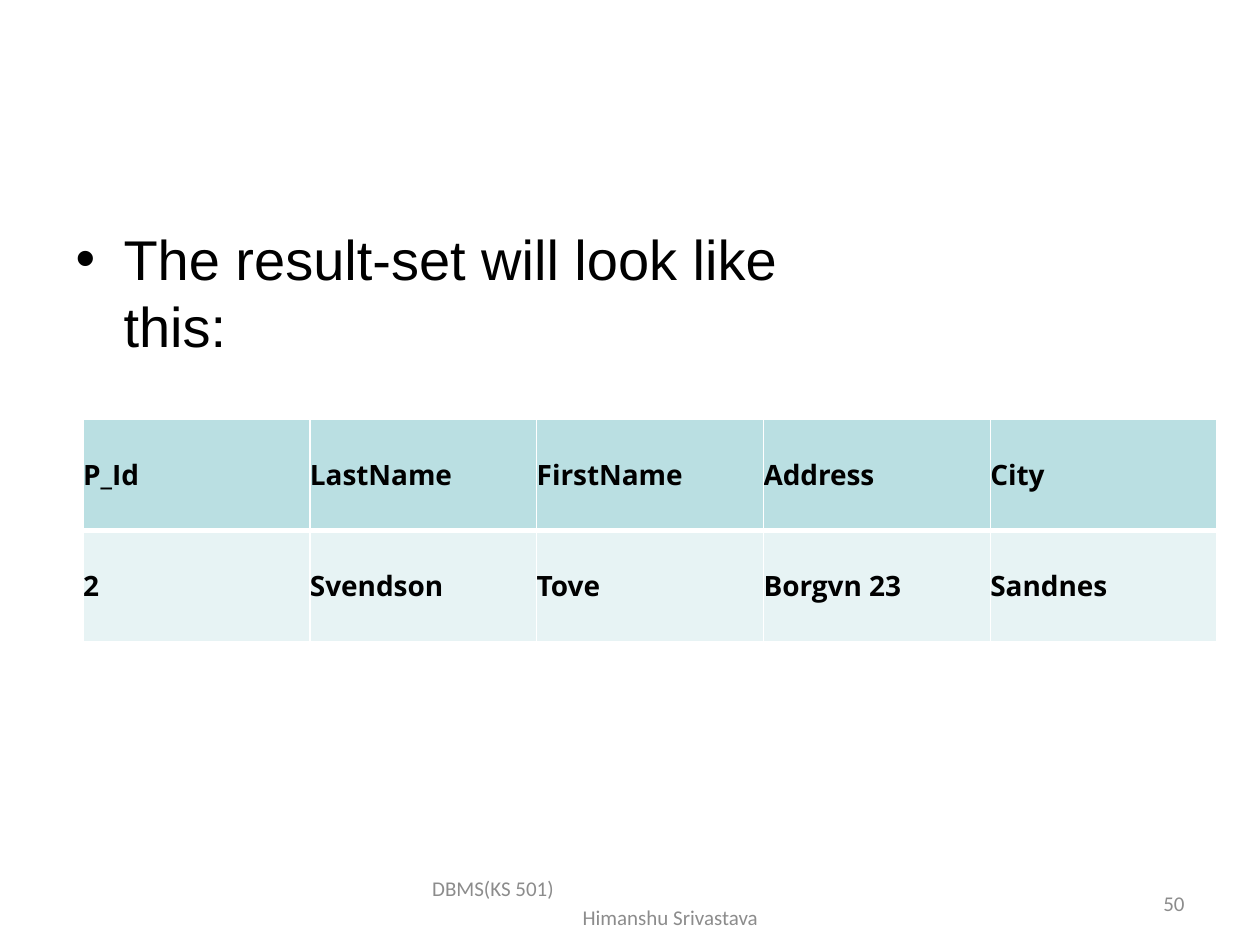
from pptx import Presentation, util as u
from pptx.dml.color import RGBColor
from pptx.enum import text
from pptx.oxml import parse_xml
from pptx.oxml.ns import nsdecls

BLACK = RGBColor(0, 0, 0)
GREY = RGBColor(0x8C, 0x8C, 0x8C)
HEAD = RGBColor(0xBA, 0xDF, 0xE2)
BODY = RGBColor(0xE7, 0xF3, 0xF4)

LEAD = "The result-set will look like this:"
ROWS = [
    ("P_Id", "LastName", "FirstName", "Address", "City"),
    ("2", "Svendson", "Tove", "Borgvn 23", "Sandnes"),
]
FOOTER = ["DBMS(KS 501)", "Himanshu Srivastava"]
NUMBER = "50"

COL, ROW = 1.8, 0.88
LEFT, TOP = 0.66, 3.33
FOOT_Y, FOOT_H = 6.95, 0.4
THIN, THICK = 1, 3
ALIGN = text.PP_ALIGN


def style(para, font, size, color, bold=False):
    """Format every run of a paragraph."""
    for run in para.runs:
        run.font.name = font
        run.font.size = u.Pt(size)
        run.font.bold = bold
        run.font.color.rgb = color


def indent(para, left, first=0):
    """Set the left margin and first-line indent in inches."""
    props = para._p.get_or_add_pPr()
    props.set("marL", str(u.Inches(left)))
    props.set("indent", str(u.Inches(first)))
    return props


def add_box(slide, place, lines, anchor=text.MSO_ANCHOR.TOP, inset=0):
    """Add a wrapping text box and return its paragraphs."""
    frame = slide.shapes.add_textbox(*map(u.Inches, place)).text_frame
    frame.word_wrap = True
    frame.vertical_anchor = anchor
    frame.margin_left = frame.margin_right = u.Inches(inset)
    frame.margin_top = frame.margin_bottom = 0
    frame.text = "\n".join(lines)
    return frame.paragraphs


def add_foot(slide, left, width, lines, aligns, margins, inset=0):
    """Add a grey text block at the foot of the slide."""
    paras = add_box(slide, (left, FOOT_Y, width, FOOT_H), lines,
                    text.MSO_ANCHOR.MIDDLE, inset)
    for para, align, margin in zip(paras, aligns, margins):
        para.alignment = align
        para.line_spacing = u.Pt(16.5)
        indent(para, margin)
        style(para, "Calibri", 12, GREY)


def add_edges(cell, top, bottom):
    """Give a cell white borders, with widths in points."""
    props = cell._tc.get_or_add_tcPr()
    edges = {"lnL": THIN, "lnR": THIN, "lnT": top, "lnB": bottom}
    for spot, (tag, width) in enumerate(edges.items()):
        props.insert(spot, parse_xml(
            f'<a:{tag} {nsdecls("a")} w="{u.Pt(width)}"><a:solidFill>'
            f'<a:srgbClr val="FFFFFF"/></a:solidFill></a:{tag}>'))


def add_result(slide):
    """Add the result-set table."""
    cols, count = len(ROWS[0]), len(ROWS)
    place = map(u.Inches, (LEFT, TOP, COL * cols, ROW * count))
    table = slide.shapes.add_table(count, cols, *place).table
    for r, row in enumerate(ROWS):
        for c, word in enumerate(row):
            cell = table.cell(r, c)
            cell.text_frame.text = word
            cell.vertical_anchor = text.MSO_ANCHOR.MIDDLE
            cell.margin_left = cell.margin_right = 0
            cell.margin_top = cell.margin_bottom = 0
            cell.fill.solid()
            cell.fill.fore_color.rgb = BODY if r else HEAD
            add_edges(cell, THICK if r else THIN, THIN if r else THICK)
            style(cell.text_frame.paragraphs[0], "Open Sans", 16, BLACK, True)


deck = Presentation()
deck.slide_width, deck.slide_height = u.Inches(10), u.Inches(7.5)
slide = deck.slides.add_slide(deck.slide_layouts[6])

lead = add_box(slide, (0.59, 1.78, 6.52, 0.56), [LEAD])[0]
style(lead, "Arial", 32, BLACK)
props = indent(lead, 0.39, -0.38)
props.append(parse_xml(f'<a:buFont {nsdecls("a")} typeface="Arial"/>'))
props.append(parse_xml(f'<a:buChar {nsdecls("a")} char="\u2022"/>'))

add_foot(slide, 3.42, 3.17, FOOTER, (ALIGN.LEFT, ALIGN.CENTER), (0.01, 0.63))
add_result(slide)
add_foot(slide, 7.17, 2.33, [NUMBER], [ALIGN.RIGHT], [0.15], 0.1)

deck.save("out.pptx")
